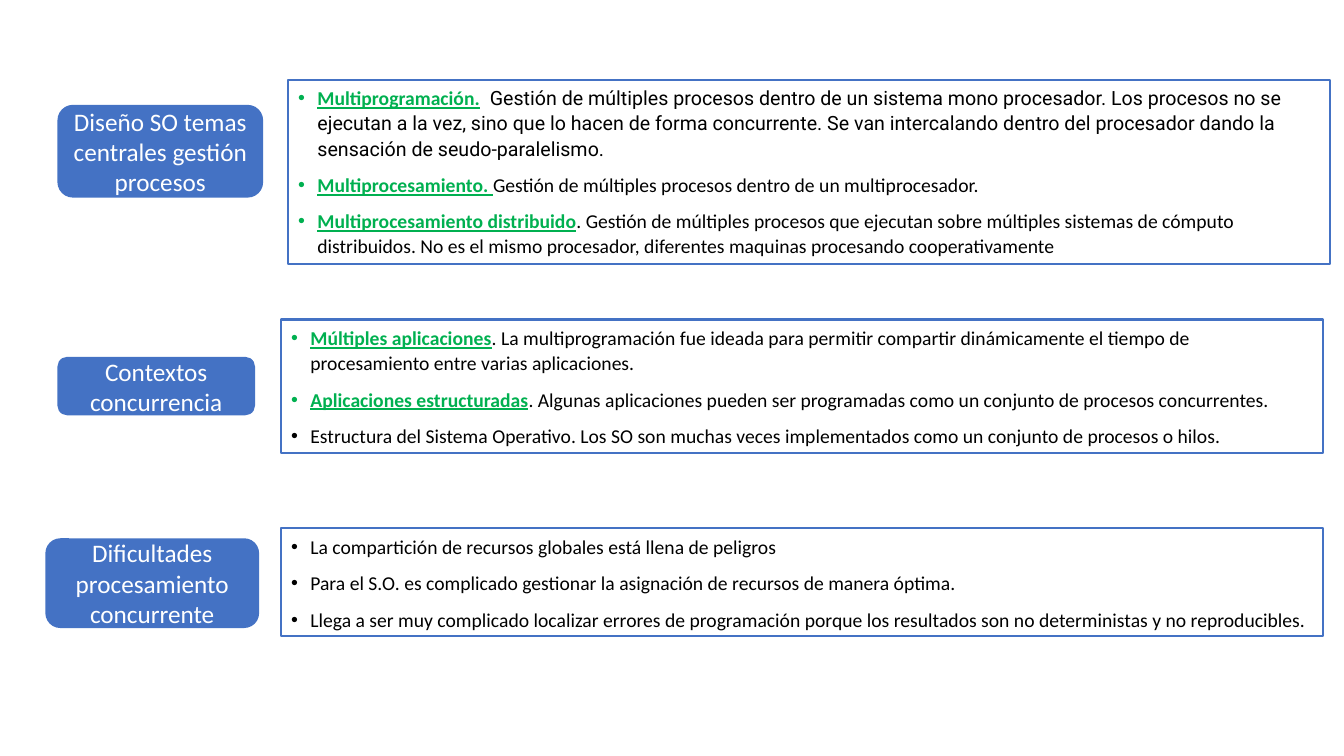
"""Build a slide on process management: three topic labels, each beside a framed list."""
from lxml.etree import SubElement
from pptx import Presentation
from pptx.dml.color import RGBColor
from pptx.enum.shapes import MSO_SHAPE
from pptx.enum.text import MSO_ANCHOR, MSO_AUTO_SIZE, PP_ALIGN
from pptx.oxml.ns import qn
from pptx.util import Inches, Pt

BLUE, GREEN, WHITE, BLACK = "4472C4", "00B050", "FFFFFF", "000000"
FONT = "Calibri"
FRAME_WIDTH = 10.33
INDENT = 0.19

TOPICS = [
    {"label": "Diseño SO temas centrales gestión procesos",
     "label_box": (0.57, 1.04, 2.04, 0.92),
     "frame": (2.86, 0.79, FRAME_WIDTH, 1.83),
     "items": [
         ("Multiprogramación.", "  Gestión de múltiples procesos dentro de un sistema mono procesador. "
          "Los procesos no se ejecutan a la vez, sino que lo hacen de forma concurrente. "
          "Se van intercalando dentro del procesador dando la sensación de seudo-paralelismo.", "Roboto"),
         ("Multiprocesamiento. ", "Gestión de múltiples procesos dentro de un multiprocesador.", FONT),
         ("Multiprocesamiento distribuido", ". Gestión de múltiples procesos que ejecutan sobre "
          "múltiples sistemas de cómputo distribuidos. No es el mismo procesador, "
          "diferentes maquinas procesando cooperativamente", FONT)]},
    {"label": "Contextos concurrencia",
     "label_box": (0.57, 3.54, 1.96, 0.58),
     "frame": (2.79, 3.17, FRAME_WIDTH, 1.32),
     "items": [
         ("Múltiples aplicaciones", ". La multiprogramación fue ideada para permitir compartir "
          "dinámicamente el tiempo de procesamiento entre varias aplicaciones.", FONT),
         ("Aplicaciones estructuradas", ". Algunas aplicaciones pueden ser programadas como "
          "un conjunto de procesos concurrentes.", FONT),
         ("", "Estructura del Sistema Operativo. Los SO son muchas veces implementados como "
          "un conjunto de procesos o hilos.", FONT)]},
    {"label": "Dificultades procesamiento concurrente",
     "label_box": (0.45, 5.34, 2.12, 0.89),
     "frame": (2.79, 5.24, FRAME_WIDTH, 1.07),
     "items": [
         ("", "La compartición de recursos globales está llena de peligros", FONT),
         ("", "Para el S.O. es complicado gestionar la asignación de recursos de manera óptima.", FONT),
         ("", "Llega a ser muy complicado localizar errores de programación porque los resultados "
          "son no deterministas y no reproducibles.", FONT)]},
]


def rgb(color):
    return RGBColor.from_string(color)


def add_box(slide, kind, box, fill):
    sp = slide.shapes.add_shape(kind, *map(Inches, box))
    sp.shadow.inherit = False
    sp.fill.solid()
    sp.fill.fore_color.rgb = rgb(fill)
    sp.text_frame.word_wrap = True
    return sp


def format_run(r, size, color, name=FONT, term=False):
    r.font.size = Pt(size)
    r.font.name = name
    r.font.color.rgb = rgb(color)
    r.font.bold = r.font.underline = term


def add_label(slide, text, box):
    sp = add_box(slide, MSO_SHAPE.ROUNDED_RECTANGLE, box, BLUE)
    sp.line.fill.background()
    tf = sp.text_frame
    tf.vertical_anchor = MSO_ANCHOR.MIDDLE
    tf.text = text
    p = tf.paragraphs[0]
    p.alignment = PP_ALIGN.CENTER
    format_run(p.runs[0], 18, WHITE)


def format_bullet(p):
    p.alignment = PP_ALIGN.LEFT
    p.line_spacing = 1.07
    p.space_after = Pt(8)
    pPr = p._p.get_or_add_pPr()
    pPr.set("marL", str(Inches(INDENT)))
    pPr.set("indent", str(-Inches(INDENT)))
    SubElement(pPr, qn("a:buFont")).set("typeface", "Arial")
    SubElement(pPr, qn("a:buChar")).set("char", "•")


def add_list(slide, items, box):
    sp = add_box(slide, MSO_SHAPE.RECTANGLE, box, WHITE)
    sp.line.color.rgb = rgb(BLUE)
    sp.line.width = Pt(1.5)
    tf = sp.text_frame
    tf.vertical_anchor = MSO_ANCHOR.TOP
    tf.auto_size = MSO_AUTO_SIZE.SHAPE_TO_FIT_TEXT
    for i, (term, text, name) in enumerate(items):
        p = tf.add_paragraph() if i else tf.paragraphs[0]
        format_bullet(p)
        if term:
            r = p.add_run()
            r.text = term
            format_run(r, 14, GREEN, term=True)
        r = p.add_run()
        r.text = text
        format_run(r, 14, BLACK, name)


def main():
    prs = Presentation()
    prs.slide_width, prs.slide_height = Inches(13.33), Inches(7.5)
    slide = prs.slides.add_slide(prs.slide_layouts[6])
    for topic in TOPICS:
        add_label(slide, topic["label"], topic["label_box"])
        add_list(slide, topic["items"], topic["frame"])
    prs.save("out.pptx")


if __name__ == "__main__":
    main()
